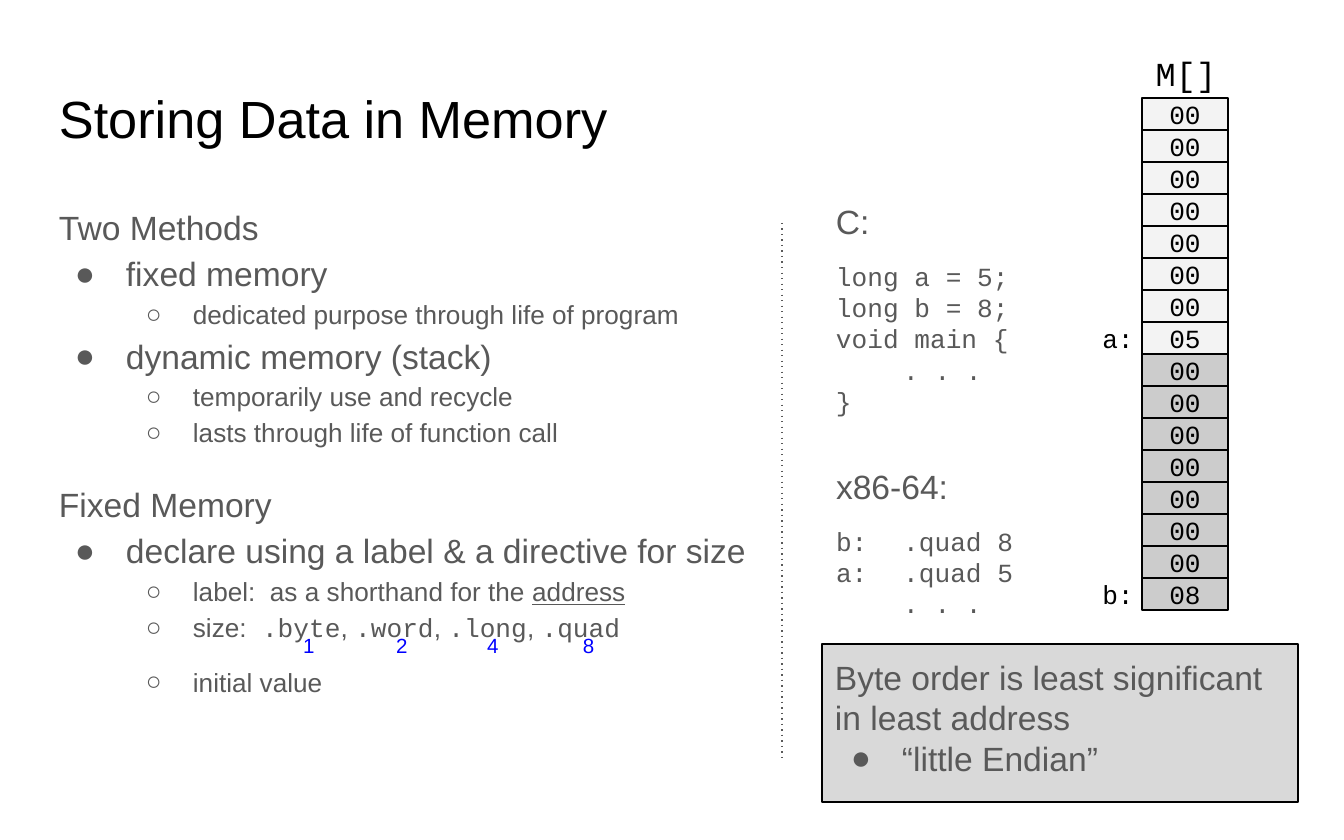
import pptx
import pptx.util
import pptx.dml.color
import pptx.enum.dml
import pptx.enum.shapes
import pptx.enum.text
import pptx.oxml.ns
from lxml import etree

SCALE = 914400 / 134.4
INK = {
    "black": "000000", "gray": "595959", "blue": "0000FF",
    "light": "F3F3F3", "dark": "CCCCCC", "note": "D9D9D9",
}
SANS, MONO = "Arial", "Courier New"
ALIGN = pptx.enum.text.PP_ALIGN
ANCHOR = pptx.enum.text.MSO_ANCHOR
qn = pptx.oxml.ns.qn


def emu(px):
    return pptx.util.Emu(round(px * SCALE))


def rgb(name):
    return pptx.dml.color.RGBColor.from_string(INK[name])


def bullet(para, level):
    """Give a paragraph a hanging bullet of the given level."""
    left, hang, char = [(67, 51, "●"), (134, 47, "○")][level]
    para.level = level
    props = para._p.get_or_add_pPr()
    props.set("marL", str(emu(left)))
    props.set("indent", str(emu(-hang)))
    color = etree.SubElement(props, qn("a:buClr"))
    etree.SubElement(color, qn("a:srgbClr"), val=INK["gray"])
    etree.SubElement(props, qn("a:buFont"), typeface=SANS)
    etree.SubElement(props, qn("a:buChar"), char=char)


def write(frame, text, size=14, font=SANS, color="gray", align=ALIGN.LEFT,
          level=None, lead=None, after=0):
    """Add one paragraph; text is a string or a list of (string, format)."""
    para = frame.paragraphs[0]
    if para.runs:
        para = frame.add_paragraph()
    if level is not None:
        bullet(para, level)
    para.alignment = align
    para.space_after = pptx.util.Pt(after)
    if lead:
        para.line_spacing = lead
    for part, look in [(text, {})] if isinstance(text, str) else text:
        run = para.add_run()
        run.text = part
        run.font.size = pptx.util.Pt(size)
        run.font.name = look.get("font", font)
        run.font.underline = look.get("under")
        run.font.color.rgb = rgb(color)


class Deck:
    def __init__(self, wide, high):
        self.show = pptx.Presentation()
        self.show.slide_width, self.show.slide_height = emu(wide), emu(high)
        self.slide = self.show.slides.add_slide(self.show.slide_layouts[6])
        self.shapes = self.slide.shapes

    def frame(self, shape, inset, anchor):
        frame = shape.text_frame
        frame.word_wrap = True
        frame.vertical_anchor = anchor
        frame.margin_left = frame.margin_right = emu(inset)
        frame.margin_top = frame.margin_bottom = emu(inset)
        return frame

    def text(self, x, y, w, h, inset=13, anchor=ANCHOR.TOP):
        box = self.shapes.add_textbox(emu(x), emu(y), emu(w), emu(h))
        return self.frame(box, inset, anchor)

    def rect(self, x, y, w, h, fill, inset=13, anchor=ANCHOR.TOP):
        kind = pptx.enum.shapes.MSO_SHAPE.RECTANGLE
        box = self.shapes.add_shape(kind, emu(x), emu(y), emu(w), emu(h))
        box.shadow.inherit = False
        box.fill.solid()
        box.fill.fore_color.rgb = rgb(fill)
        box.line.color.rgb = rgb("black")
        box.line.width = pptx.util.Pt(0.75)
        return self.frame(box, inset, anchor)

    def dots(self, x, top, end):
        kind = pptx.enum.shapes.MSO_CONNECTOR.STRAIGHT
        rule = self.shapes.add_connector(kind, emu(x), emu(top), emu(x), emu(end))
        rule.line.color.rgb = rgb("gray")
        rule.line.width = pptx.util.Pt(0.75)
        rule.line.dash_style = pptx.enum.dml.MSO_LINE.ROUND_DOT
        props = rule._element.spPr
        props.find(".//" + qn("a:prstDash")).set("val", "dot")
        etree.SubElement(props, qn("a:effectLst"))


def main():
    deck = Deck(1344, 840)

    # Title
    title = deck.text(46, 73, 1000, 94)
    write(title, "Storing Data in Memory", size=28, color="black")

    # Outline: text, bullet level, space after
    outline = [
        ("Two Methods", None, 0),
        ("fixed memory", 0, 0),
        ("dedicated purpose through life of program", 1, 0),
        ("dynamic memory (stack)", 0, 0),
        ("temporarily use and recycle", 1, 0),
        ("lasts through life of function call", 1, 16),
        ("Fixed Memory", None, 0),
        ("declare using a label & a directive for size", 0, 0),
        ("label:", 1, 0),
        ("size:", 1, 10),
        ("initial value", 1, 0),
    ]
    body = deck.text(46, 188, 730, 558)
    for text, level, after in outline:
        write(body, text, size=14 if level == 1 else 18, level=level,
              lead=1.15, after=after)

    # Details beside the label and size bullets
    label = deck.text(257, 558, 510, 60)
    write(label, [("as a shorthand for the ", {}), ("address", {"under": True})],
          lead=1.15)
    parts = []
    for name in (".byte", ".word", ".long", ".quad"):
        if parts:
            parts.append((", ", {}))
        parts.append((name, {"font": MONO}))
    write(deck.text(249, 594, 520, 60), parts, lead=1.15)

    # Byte count under each directive
    for x, count in zip((290, 383, 474, 570), "1248"):
        write(deck.text(x, 621, 46, 50), count, size=11, color="blue")

    deck.dots(782, 223, 761)

    # Code in C and in assembly
    listings = [
        (188, 300, "C:", ["long a = 5;", "long b = 8;", "void main {",
                          "\t. . .", "}"]),
        (453, 281, "x86-64:", ["b:\t.quad 8", "a:\t.quad 5", "\t. . ."]),
    ]
    for y, wide, head, lines in listings:
        code = deck.text(823, y, wide, 185)
        write(code, head, size=18, after=10)
        for line in lines:
            write(code, line, font=MONO)

    # Memory column: two longs of eight bytes each
    mono = {"font": MONO, "color": "black", "align": ALIGN.CENTER}
    write(deck.text(1125, 40, 122, 50), "M[]", size=18, **mono)
    top, step = 98, 32
    for word, (name, low, fill) in enumerate([("a:", "05", "light"),
                                              ("b:", "08", "dark")]):
        for byte in range(8):
            y = top + step * (8 * word + byte)
            cell = deck.rect(1142, y, 86, step, fill, 0, ANCHOR.MIDDLE)
            write(cell, low if byte == 7 else "00", **mono)
        write(deck.text(1075, y, 86, step, 0, ANCHOR.MIDDLE), name, **mono)

    # Byte order note
    note = deck.rect(822, 644, 476, 158, "note")
    write(note, "Byte order is least significant in least address", size=18)
    write(note, "“little Endian”", size=18, level=0)

    deck.show.save("out.pptx")


if __name__ == "__main__":
    main()
